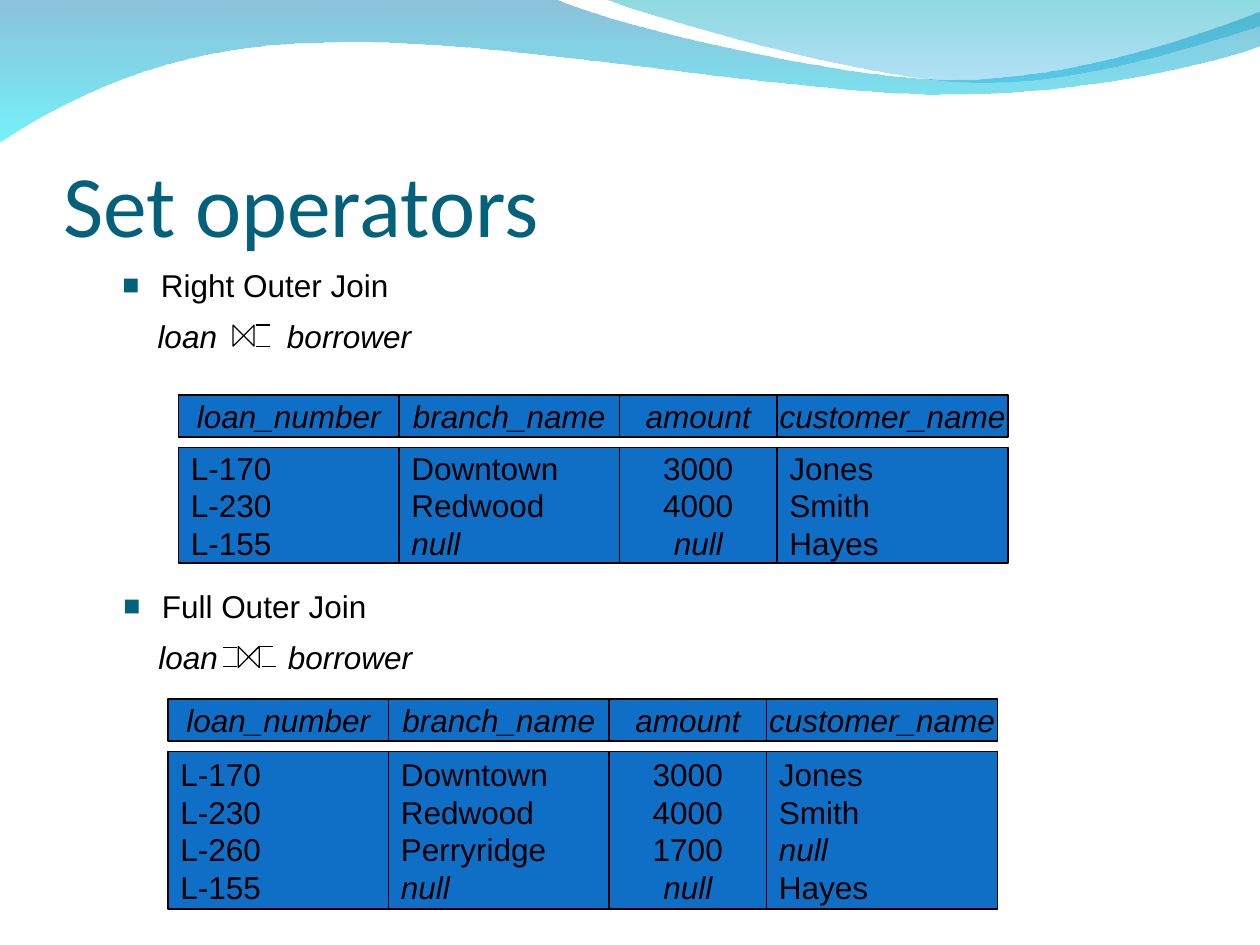
from lxml import etree
from pptx import Presentation
from pptx.dml.color import RGBColor
from pptx.enum import shapes, text
from pptx.oxml import ns
from pptx.util import Pt

BLACK = RGBColor(0x00, 0x00, 0x00)
BLUE = RGBColor(0x0F, 0x6F, 0xC6)
TEAL = RGBColor(0x04, 0x61, 0x7B)
DEEP = RGBColor(0x00, 0x79, 0xAF)
AQUA = RGBColor(0x00, 0xEB, 0xF8)
SEA = RGBColor(0x00, 0xAD, 0xB6)
SKY = RGBColor(0x00, 0x9B, 0xE5)
LEFT, CENTER = text.PP_ALIGN.LEFT, text.PP_ALIGN.CENTER


def add(parent, tag, **attrs):
    return etree.SubElement(parent, ns.qn(tag), attrs)


def style(font, **values):
    values = {"name": "Arial", "size": Pt(18), **values}
    font.color.rgb = values.pop("color", BLACK)
    for key, value in values.items():
        setattr(font, key, value)


prs = Presentation()
prs.slide_width, prs.slide_height = Pt(720), Pt(540)
slide = prs.slides.add_slide(prs.slide_layouts[5])
items = slide.shapes

# Waves: a pair is a straight step, six numbers are a Bezier curve
waves = [
    ((0, -0.7),
     [(317, -0.7), (342.7, 12.2, 478, 45.4, 545.8, 45.4),
      (614, 45.4, 689.8, 18.7, 720, 6.5), (720.7, 25.9),
      (707.8, 31.7, 626.4, 54.7, 537, 54), (447.8, 54, 275, 20.2, 185, 24.5),
      (92.9, 25.2, 33.1, 59.8, -0.7, 81.4)],
     [(DEEP, 45), (AQUA, 55)]),
    ((345, -0.7),
     [(366.5, 7.9, 491, 44.6, 553.7, 46.8),
      (616.3, 49.7, 691.9, 23, 720, 15.1), (720, 0)],
     [(SEA, 45), (SKY, 30)]),
]
for start, steps, tints in waves:
    dots = [(Pt(x), Pt(y)) for step in steps
            for x, y in zip(step[::2], step[1::2])]
    pen = items.build_freeform(Pt(start[0]), Pt(start[1]))
    pen.add_line_segments(dots, close=True)
    wave = pen.convert_to_shape()
    edges = iter(list(wave._element.iter(ns.qn("a:lnTo"))))
    for step in steps:
        edge = next(edges)
        if len(step) == 6:
            edge.tag = ns.qn("a:cubicBezTo")
            for n in range(2):
                extra = next(edges)
                edge.append(extra[0])
                extra.getparent().remove(extra)
    wave.shadow.inherit = False
    wave.line.fill.background()
    wave.fill.gradient()
    wave.fill.gradient_angle = 270
    for spot, stop, (color, alpha) in zip((0, 1), wave.fill.gradient_stops, tints):
        stop.position = spot
        stop.color.rgb = color
    marks = wave._element.spPr.iter(ns.qn("a:srgbClr"))
    for mark, (color, alpha) in zip(list(marks), tints):
        add(mark, "a:alpha", val=str(alpha * 1000))

# Title, in front of the waves
title = items.title
items._spTree.append(title._element)
title.left, title.top, title.width, title.height = Pt(36), Pt(55.5), Pt(648), Pt(90)
frame = title.text_frame
frame.text = "Set operators"
frame.vertical_anchor = text.MSO_ANCHOR.BOTTOM
frame.margin_left = frame.margin_right = frame.margin_bottom = 0
frame.margin_top = Pt(3.6)
frame.paragraphs[0].alignment = LEFT
style(frame.paragraphs[0].font, name="Calibri", size=Pt(50), color=TEAL)

# Result relations: a header row, a gap, then one box per column
heads = ["loan_number", "branch_name", "amount", "customer_name"]
widths = [126, 126, 90, 132]
aligns = [LEFT, LEFT, CENTER, LEFT]
tables = [
    (102, 225.75, 66, [["L-170", "Downtown", "3000", "Jones"],
                       ["L-230", "Redwood", "4000", "Smith"],
                       ["L-155", "null", "null", "Hayes"]]),
    (96, 399.5, 90, [["L-170", "Downtown", "3000", "Jones"],
                     ["L-230", "Redwood", "4000", "Smith"],
                     ["L-260", "Perryridge", "1700", "null"],
                     ["L-155", "null", "null", "Hayes"]]),
]
for left, top, tall, rows in tables:
    for head, width, align, column in zip(heads, widths, aligns, zip(*rows)):
        for y, high, side, lines in [(top, 24, CENTER, [head]),
                                     (top + 30, tall, align, column)]:
            box = items.add_shape(shapes.MSO_SHAPE.RECTANGLE,
                                  Pt(left), Pt(y), Pt(width), Pt(high))
            box.shadow.inherit = False
            box.fill.solid()
            box.fill.fore_color.rgb = BLUE
            box.line.color.rgb = BLACK
            box.line.width = Pt(0.75)
            frame = box.text_frame
            frame.word_wrap = y > top
            frame.vertical_anchor = text.MSO_ANCHOR.MIDDLE
            frame.text = "\n".join(lines)
            for para, line in zip(frame.paragraphs, lines):
                para.alignment = side
                style(para.font, italic=line in (head, "null"))
        left += width

# Join headings, each with a bow tie and its open ends (x, y)
joins = [
    ("Right Outer Join", 62.9, 148.3, (133.2, 185.8), [(146.2, 185.8), (146.2, 198)]),
    ("Full Outer Join", 63.4, 331.7, (136.1, 369.4),
     [(127.4, 370), (127.4, 381), (149.8, 381), (148.3, 369.4)]),
]
for name, left, top, tie, ends in joins:
    box = items.add_textbox(Pt(left), Pt(top), Pt(320), Pt(58))
    frame = box.text_frame
    frame.word_wrap = True
    frame.text = f"{name}\n\tloan\tborrower"
    first, second = frame.paragraphs
    props = first._p.get_or_add_pPr()
    props.set("marL", str(Pt(22)))
    props.set("indent", str(-Pt(22)))
    add(add(props, "a:buClr"), "a:srgbClr", val=str(TEAL))
    add(props, "a:buSzPct", val="90000")
    add(props, "a:buFont", typeface="Arial")
    add(props, "a:buChar", char="■")
    tabs = add(second._p.get_or_add_pPr(), "a:tabLst")
    for spot in (20, 94):
        add(tabs, "a:tab", pos=str(Pt(spot)), algn="l")
    second.space_before = Pt(8)
    style(first.font)
    style(second.font, italic=True)

    bow = items.add_shape(shapes.MSO_SHAPE.FLOWCHART_COLLATE,
                          Pt(tie[0]), Pt(tie[1]), Pt(12), Pt(12))
    bow.rotation = 90
    bow.shadow.inherit = False
    bow.fill.background()
    bow.line.color.rgb = BLACK
    bow.line.width = Pt(0.75)
    for x, y in ends:
        bar = items.add_connector(shapes.MSO_CONNECTOR.STRAIGHT,
                                  Pt(x), Pt(y), Pt(x + 8), Pt(y))
        bar.line.color.rgb = BLACK
        bar.line.width = Pt(0.75)
        add(bar._element.spPr, "a:effectLst")

prs.save("out.pptx")
